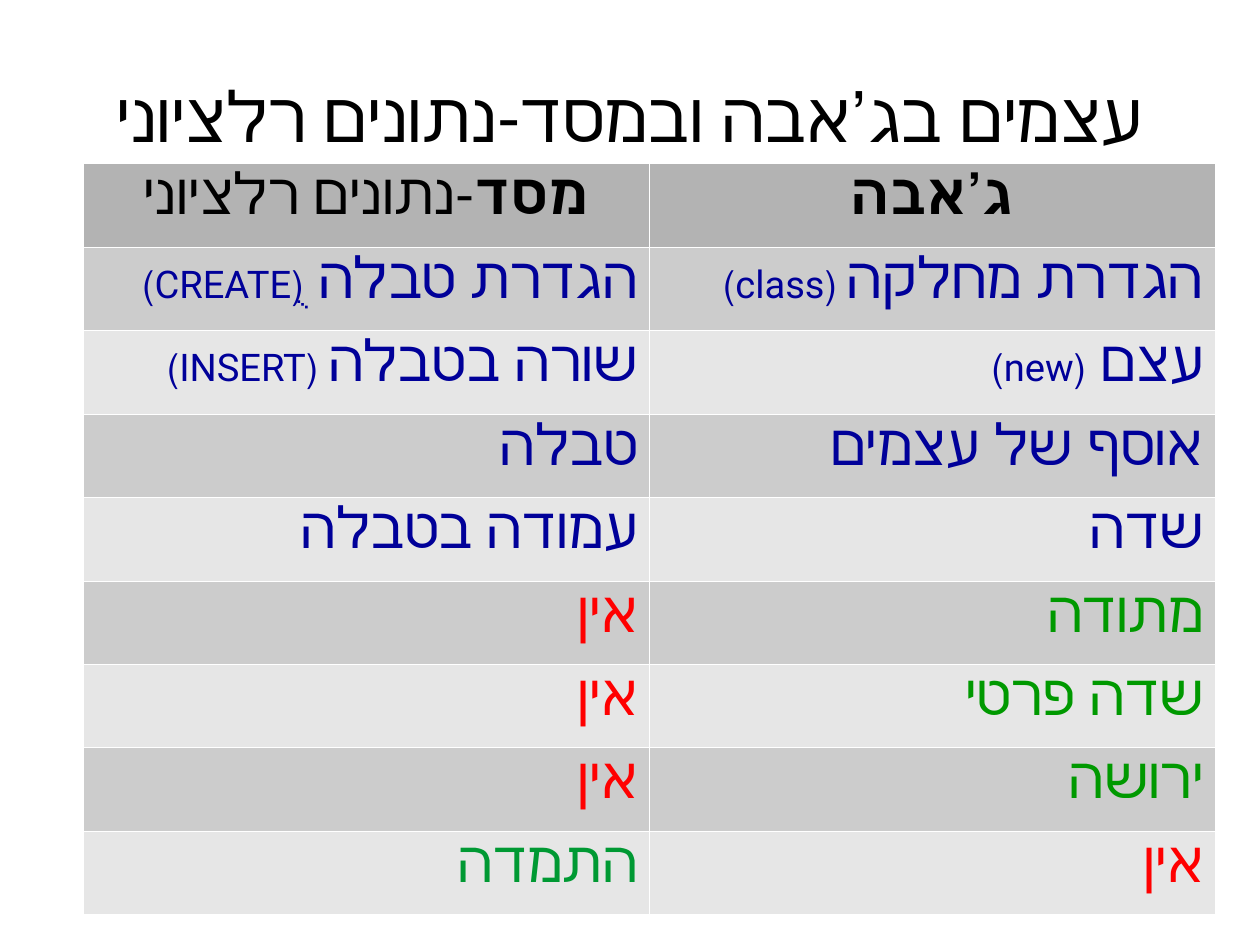
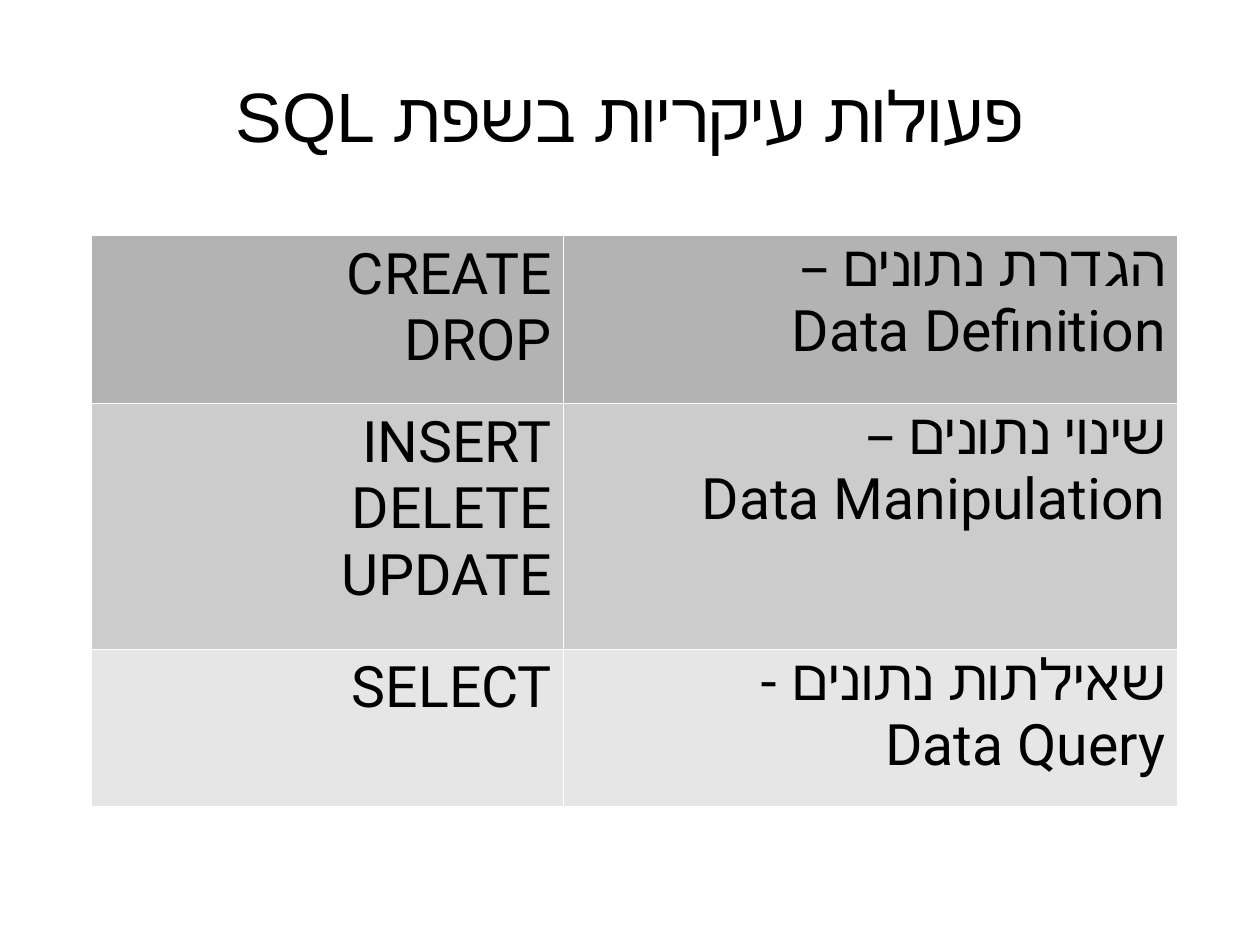
"""Build two Hebrew slides comparing Java objects with relational databases and listing SQL operations."""
from lxml import etree
from pptx import Presentation
from pptx.dml.color import RGBColor
from pptx.enum import text as t
from pptx.oxml import ns
from pptx.util import Inches, Pt

BLACK, BLUE, RED, GREEN, TEAL = "000000", "000099", "FF0000", "009900", "009933"
HEADER, DARK, LIGHT = "B3B3B3", "CCCCCC", "E6E6E6"
BORDER = "FFFFFF"
CM_PER_INCH = 2.54


def rgb(value):
    return RGBColor.from_string(value)


def write(frame, paragraphs, font="Roboto", size=36, color=BLACK, align=t.PP_ALIGN.RIGHT):
    for number, runs in enumerate(paragraphs):
        paragraph = frame.paragraphs[0] if number == 0 else frame.add_paragraph()
        paragraph.alignment = align
        paragraph._p.get_or_add_pPr().set("rtl", "1")
        for words, style in runs:
            for line_number, line in enumerate(words.split("\n")):
                if line_number:
                    paragraph.add_line_break()
                run = paragraph.add_run()
                run.text = line
                run.font.name = font
                run.font.size = Pt(style.get("size", size))
                run.font.bold = style.get("bold", False)
                run.font.color.rgb = rgb(color)


plain, bold, small = {}, {"bold": True}, {"size": 24}

objects_rows = [
    [([("מסד", bold), ("-נתונים רלציוני", plain)], BLACK), ([("ג’אבה", bold)], BLACK)],
    [([("הגדרת טבלה ", plain), ("(ֻCREATE)", small)], BLUE),
     ([("הגדרת מחלקה", plain), (" (class)", small)], BLUE)],
    [([("שורה בטבלה", plain), (" (INSERT)", small)], BLUE),
     ([("עצם ", plain), ("(new)", small)], BLUE)],
]
for database, database_color, java, java_color in [
    ("טבלה", BLUE, "אוסף של עצמים", BLUE),
    ("עמודה בטבלה", BLUE, "שדה", BLUE),
    ("אין", RED, "מתודה", GREEN),
    ("אין", RED, "שדה פרטי", GREEN),
    ("אין", RED, "ירושה", GREEN),
    ("התמדה", TEAL, "אין", RED),
]:
    objects_rows.append([([(database, plain)], database_color), ([(java, plain)], java_color)])
objects_cells = [[([runs], color) for runs, color in row] for row in objects_rows]

operations_cells = [
    [([[(command, plain)] for command in commands], BLACK), ([[(purpose, plain)]], BLACK)]
    for commands, purpose in [
        (["CREATE", "DROP"], "הגדרת נתונים – \nData Definition"),
        (["INSERT", "DELETE", "UPDATE"], "שינוי נתונים – \nData Manipulation"),
        (["SELECT"], "שאילתות נתונים - \nData Query"),
    ]
]

slides = [
    ("עצמים בג’אבה ובמסד-נתונים רלציוני", 0.73, 1.43, [4.95, 4.95], [0.73] * 9,
     objects_cells, t.PP_ALIGN.CENTER),
    ("פעולות עיקריות בשפת SQL", 0.8, 2.06, [4.13, 5.37], [1.47, 2.15, 1.37],
     operations_cells, t.PP_ALIGN.RIGHT),
]

deck = Presentation()
deck.slide_width = Inches(28 / CM_PER_INCH)
deck.slide_height = Inches(21 / CM_PER_INCH)

for heading, left, top, widths, heights, content, header_align in slides:
    slide = deck.slides.add_slide(deck.slide_layouts[5])
    title = slide.shapes.title
    title.left, title.top = Inches(0.55), Inches(0.5)
    title.width, title.height = Inches(9.92), Inches(1)
    title_frame = title.text_frame
    title_frame.margin_left = title_frame.margin_right = 0
    title_frame.margin_top = title_frame.margin_bottom = 0
    title_frame.vertical_anchor = t.MSO_ANCHOR.MIDDLE
    title_frame.auto_size = t.MSO_AUTO_SIZE.NONE
    write(title_frame, [[(heading, plain)]], font="Arial", size=44, align=t.PP_ALIGN.CENTER)

    table = slide.shapes.add_table(
        len(heights), len(widths), Inches(left), Inches(top),
        Inches(sum(widths)), Inches(sum(heights))).table
    for column, width in zip(table.columns, widths):
        column.width = Inches(width)
    for row_number, (row, height) in enumerate(zip(table.rows, heights)):
        row.height = Inches(height)
        band = HEADER if row_number == 0 else DARK if row_number % 2 else LIGHT
        for cell, (paragraphs, color) in zip(row.cells, content[row_number]):
            write(cell.text_frame, paragraphs, color=color,
                  align=header_align if row_number == 0 else t.PP_ALIGN.RIGHT)
            properties = cell._tc.get_or_add_tcPr()
            for side in ("a:lnL", "a:lnR", "a:lnT", "a:lnB"):
                edge = etree.SubElement(properties, ns.qn(side), w=str(Pt(0.06)))
                edge_fill = etree.SubElement(edge, ns.qn("a:solidFill"))
                etree.SubElement(edge_fill, ns.qn("a:srgbClr"), val=BORDER)
            cell.fill.solid()
            cell.fill.fore_color.rgb = rgb(band)

deck.save("out.pptx")
